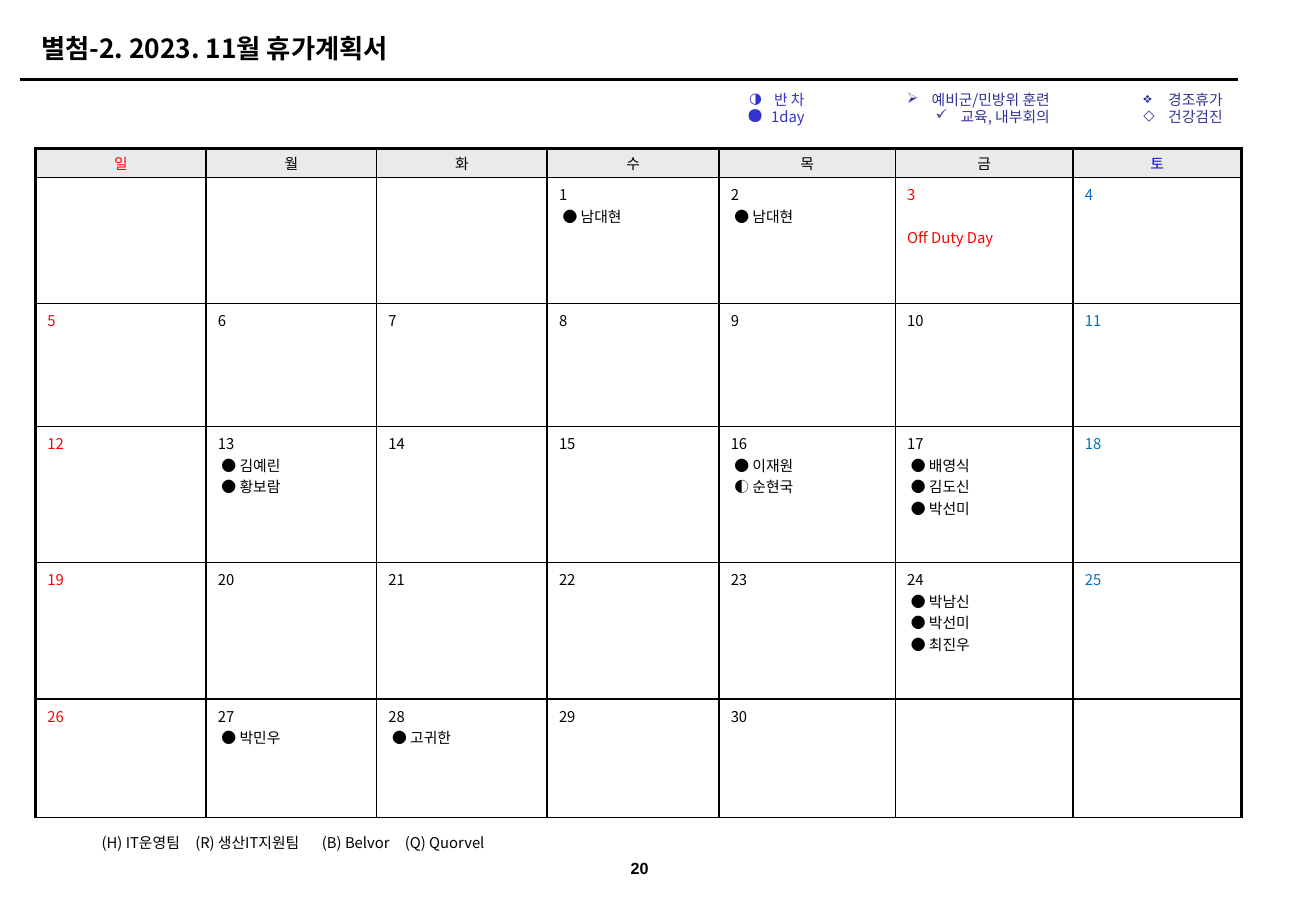
from dataclasses import dataclass
from lxml.etree import SubElement
from pptx import Presentation
from pptx.dml.color import RGBColor
from pptx.enum.shapes import MSO_CONNECTOR as Connector
from pptx.enum.text import MSO_ANCHOR as Anchor, PP_ALIGN as Align
from pptx.oxml.ns import qn
from pptx.util import Emu, Pt


@dataclass(frozen=True)
class Theme:
    font: str = "Noto Sans CJK KR"
    number_font: str = "Arial"
    title_size: float = 16
    body_size: float = 9
    number_size: float = 9.8
    ink: str = "000000"
    holiday: str = "FF0000"
    saturday: str = "0070C0"
    saturday_head: str = "0000FF"
    head_fill: str = "EAEAEA"
    leave: str = "3333CC"
    event: str = "333399"


THEME = Theme()
EMU_PER_PX = 9144

WEEKDAYS = "일월화수목금토"
FIRST_COLUMN, LAST_DAY = 3, 30
COLUMN_WIDTHS = [144, 144, 144, 145, 149, 150, 142]
ROW_HEIGHTS = [25, 106, 104, 115, 115, 100]
OFF_DUTY = {3: "Off Duty Day"}
VACATIONS = {
    1: ["● 남대현"],
    2: ["● 남대현"],
    13: ["● 김예린", "● 황보람"],
    16: ["● 이재원", "◐ 순현국"],
    17: ["● 배영식", "● 김도신", "● 박선미"],
    24: ["● 박남신", "● 박선미", "● 최진우"],
    27: ["● 박민우"],
    28: ["● 고귀한"],
}
LEGENDS = [
    ((617, 73, 72, 40), THEME.leave, [("◑", "반 차", 100), ("●", "1day", 150)]),
    ((738, 73, 158, 39), THEME.event,
     [("➢", "예비군/민방위 훈련", 100), ("✓", "교육, 내부회의", 100)]),
    ((859, 73, 183, 39), THEME.event,
     [("❖", "경조휴가", 100), ("◇", "건강검진", 100)]),
]
TEAMS = ["(H) IT운영팀", "(R) 생산IT지원팀", "(B) Belvor", "(Q) Quorvel"]
TEAM_TABS = [79, 186, 256]


def px(length):
    return Emu(length * EMU_PER_PX)


def assign(target, values):
    for name, value in values.items():
        setattr(target, name, value)


def write(paragraph, text, color=THEME.ink, size=THEME.body_size,
          bold=False, font=THEME.font, **layout):
    assign(paragraph, layout)
    run = paragraph.add_run()
    run.text = text
    run.font.color.rgb = RGBColor.from_string(color)
    assign(run.font, {"size": Pt(size), "bold": bold, "name": font})
    SubElement(run.font._element, qn("a:ea"), typeface=font)


def indent(paragraph, left, first=0):
    properties = paragraph._p.get_or_add_pPr()
    properties.set("marL", str(px(left)))
    properties.set("indent", str(px(first)))
    return properties


def add_frame(slide, box, **layout):
    frame = slide.shapes.add_textbox(*map(px, box)).text_frame
    assign(frame, {"word_wrap": True, **layout})
    return frame


def add_heading(slide, box):
    title = slide.shapes.title
    assign(title, dict(zip(("left", "top", "width", "height"), map(px, box))))
    assign(title.text_frame, {
        "vertical_anchor": Anchor.MIDDLE, "word_wrap": True,
        "margin_left": px(10), "margin_right": px(10),
        "margin_top": px(5), "margin_bottom": px(5),
    })
    write(title.text_frame.paragraphs[0], "별첨-2. 2023. 11월 휴가계획서",
          size=THEME.title_size, bold=True, alignment=Align.LEFT)


def add_rule(slide, box):
    left, top, width, height = box
    rule = slide.shapes.add_connector(
        Connector.STRAIGHT, *map(px, (left, top, left + width, top + height)))
    rule.line.color.rgb = RGBColor.from_string(THEME.ink)
    rule.line.width = Pt(1.5)
    SubElement(rule._element.spPr, qn("a:effectLst"))


def add_legend(slide, box, color, entries):
    frame = add_frame(slide, box)
    for index, (mark, label, mark_size) in enumerate(entries):
        paragraph = frame.paragraphs[0] if index == 0 else frame.add_paragraph()
        properties = indent(paragraph, 21, -21)
        paragraph.line_spacing = 0.95
        mark_color = SubElement(properties, qn("a:buClr"))
        SubElement(mark_color, qn("a:srgbClr"), val=color)
        SubElement(properties, qn("a:buSzPct"), val=str(mark_size * 1000))
        SubElement(properties, qn("a:buChar"), char=mark)
        write(paragraph, label, color, alignment=Align.RIGHT)


def draw_borders(cell, row, column):
    widths = {
        "a:lnL": 2 if column == 0 else 1,
        "a:lnR": 2 if column == len(COLUMN_WIDTHS) - 1 else 1,
        "a:lnT": 2 if row == 0 else 1,
        "a:lnB": 1,
    }
    properties = cell._tc.get_or_add_tcPr()
    for side, width in widths.items():
        border = SubElement(properties, qn(side), w=str(Pt(width)))
        fill = SubElement(border, qn("a:solidFill"))
        SubElement(fill, qn("a:srgbClr"), val=THEME.ink)


def fill_weekday(cell, column):
    assign(cell, {"vertical_anchor": Anchor.MIDDLE,
                  "margin_top": px(2), "margin_bottom": px(2)})
    cell.fill.solid()
    cell.fill.fore_color.rgb = RGBColor.from_string(THEME.head_fill)
    color = {0: THEME.holiday, 6: THEME.saturday_head}.get(column, THEME.ink)
    write(cell.text_frame.paragraphs[0], WEEKDAYS[column], color,
          alignment=Align.CENTER)


def fill_day(cell, day, column):
    cell.fill.background()
    if not 1 <= day <= LAST_DAY:
        return
    color = {0: THEME.holiday, 6: THEME.saturday}.get(column, THEME.ink)
    if day in OFF_DUTY:
        color = THEME.holiday
    frame = cell.text_frame
    write(frame.paragraphs[0], str(day), color)
    if day in OFF_DUTY:
        write(frame.add_paragraph(), OFF_DUTY[day], color, space_before=Pt(13))
    for vacation in VACATIONS.get(day, []):
        paragraph = frame.add_paragraph()
        indent(paragraph, 3)
        write(paragraph, vacation)


def add_calendar(slide, box):
    calendar = slide.shapes.add_table(
        len(ROW_HEIGHTS), len(COLUMN_WIDTHS), *map(px, box)).table
    assign(calendar, {"first_row": False, "horz_banding": False})
    for column, width in zip(calendar.columns, COLUMN_WIDTHS):
        column.width = px(width)
    for row, height in enumerate(ROW_HEIGHTS):
        calendar.rows[row].height = px(height)
        for column in range(len(COLUMN_WIDTHS)):
            cell = calendar.cell(row, column)
            assign(cell, {"margin_left": px(10), "margin_right": px(10),
                          "margin_top": px(5), "margin_bottom": px(5)})
            draw_borders(cell, row, column)
            if row == 0:
                fill_weekday(cell, column)
            else:
                day = (row - 1) * 7 + column - FIRST_COLUMN + 1
                fill_day(cell, day, column)


def add_teams(slide, box):
    frame = add_frame(slide, box, vertical_anchor=Anchor.MIDDLE)
    paragraph = frame.paragraphs[0]
    paragraph.line_spacing = 0.95
    stops = SubElement(paragraph._p.get_or_add_pPr(), qn("a:tabLst"))
    for position in TEAM_TABS:
        SubElement(stops, qn("a:tab"), pos=str(px(position)), algn="l")
    write(paragraph, "\t".join(TEAMS))


def add_page_number(slide, box):
    frame = add_frame(slide, box, vertical_anchor=Anchor.MIDDLE)
    write(frame.paragraphs[0], "20", size=THEME.number_size, bold=True,
          font=THEME.number_font, alignment=Align.CENTER)


def main():
    deck = Presentation()
    assign(deck, {"slide_width": px(1111), "slide_height": px(757)})
    slide = deck.slides.add_slide(deck.slide_layouts[5])
    add_rule(slide, (17, 67, 1028, 0))
    add_page_number(slide, (513, 717, 54, 31))
    add_calendar(slide, (30, 125, 1018, 565))
    for box, color, entries in LEGENDS:
        add_legend(slide, box, color, entries)
    add_heading(slide, (25, 22, 990, 37))
    add_teams(slide, (76, 700, 345, 24))
    deck.save("out.pptx")


if __name__ == "__main__":
    main()
